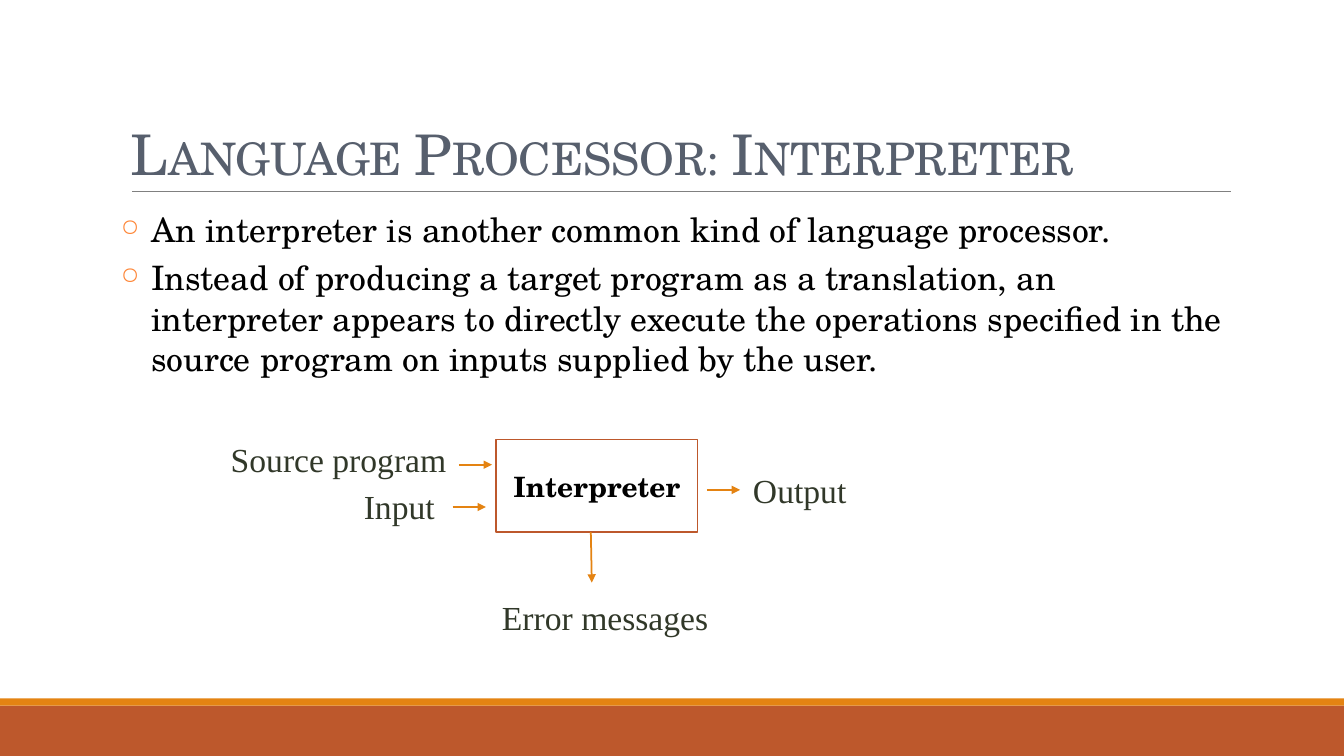
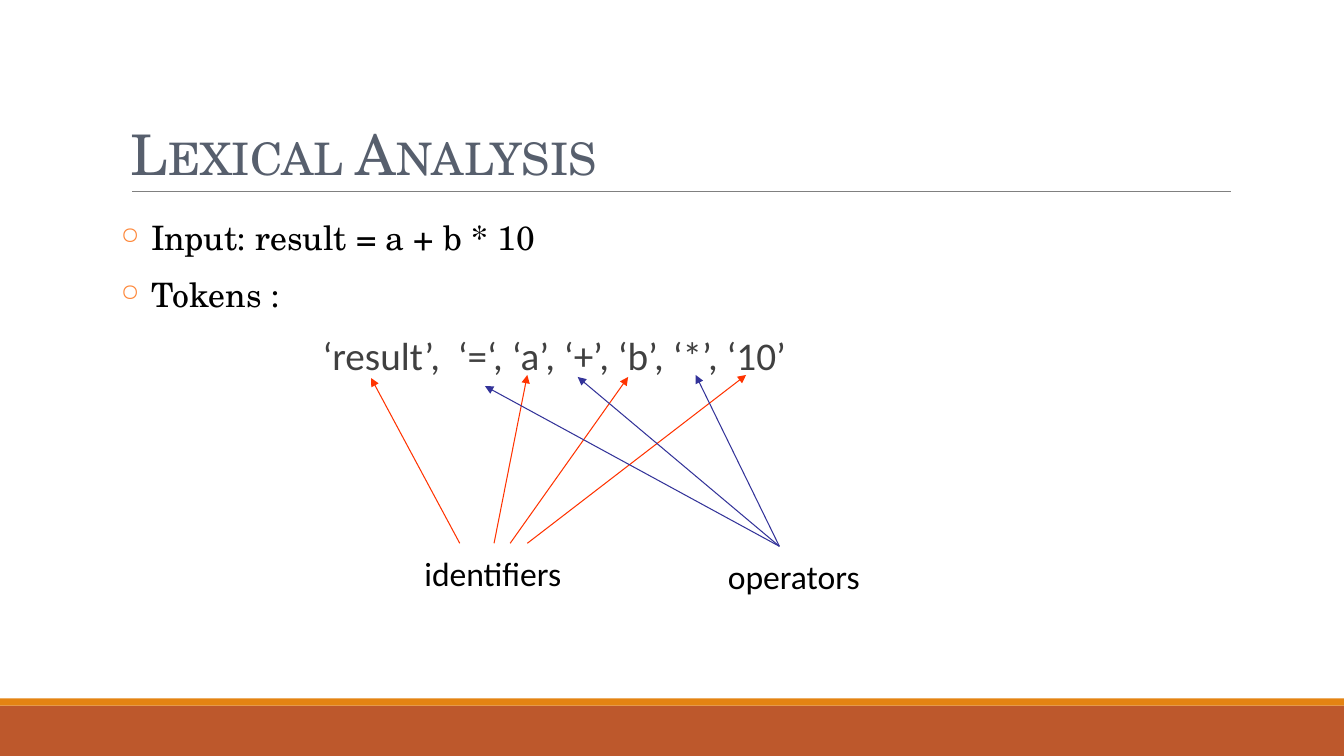
import pptx
import pptx.util
import pptx.dml.color
import pptx.enum.shapes
import pptx.enum.text
import pptx.oxml.ns
import lxml.etree

Inches = pptx.util.Inches
Pt = pptx.util.Pt
ANCHOR = pptx.enum.text.MSO_ANCHOR
ALIGN = pptx.enum.text.PP_ALIGN

COLORS = {
    "band": "BD582C",
    "accent": "E48312",
    "rule": "808080",
    "title": "575F6D",
    "bullet": "FE8637",
    "body": "000000",
    "tokens": "404040",
    "label": "313829",
    "box": "FFFFFF",
    "identifiers": "FF3300",
    "operators": "333399",
}
SERIF = "TeX Gyre Schola"
SANS = "Calibri"
LABEL_FONT = "Times New Roman"
WIDTH, HEIGHT = 13.33, 7.5


def rgb(name):
    return pptx.dml.color.RGBColor.from_string(COLORS[name])


def add_xml(parent, tag, **attributes):
    return lxml.etree.SubElement(parent, pptx.oxml.ns.qn(tag), attributes)


def style(paragraph, size, font, color, bold=False):
    paragraph.font.size = Pt(size)
    paragraph.font.name = font
    paragraph.font.bold = bold
    paragraph.font.color.rgb = rgb(color)


def add_rect(slide, box, fill, line=None):
    rect = slide.shapes.add_shape(
        pptx.enum.shapes.MSO_SHAPE.RECTANGLE, *map(Inches, box))
    rect.shadow.inherit = False
    rect.fill.solid()
    rect.fill.fore_color.rgb = rgb(fill)
    if line:
        rect.line.color.rgb = rgb(line)
        rect.line.width = Pt(1)
    else:
        rect.line.fill.background()
    return rect


def add_line(slide, start, end, color, width, arrow=False):
    line = slide.shapes.add_connector(
        pptx.enum.shapes.MSO_CONNECTOR.STRAIGHT, *map(Inches, start + end))
    line.line.color.rgb = rgb(color)
    line.line.width = Pt(width)
    if arrow:
        add_xml(line.line._get_or_add_ln(), "a:tailEnd", type="triangle")
    add_xml(line._element.spPr, "a:effectLst")


def add_text_frame(slide, box, wrap=True):
    frame = slide.shapes.add_textbox(*map(Inches, box)).text_frame
    frame.word_wrap = wrap
    return frame


def add_bullet(paragraph, indent):
    properties = paragraph._p.get_or_add_pPr()
    properties.set("marL", str(Inches(indent)))
    properties.set("indent", str(-Inches(indent)))
    color = add_xml(properties, "a:buClr")
    add_xml(color, "a:srgbClr", val=COLORS["bullet"])
    add_xml(properties, "a:buSzPct", val="70000")
    add_xml(properties, "a:buChar", char="○")


def add_base(deck, title):
    slide = deck.slides.add_slide(deck.slide_layouts[6])
    add_rect(slide, (0, 7, WIDTH, 0.5), "band")
    add_rect(slide, (0, 6.93, WIDTH, 0.07), "accent")
    add_line(slide, (1.31, 1.9), (12.21, 1.9), "rule", 0.5)
    frame = add_text_frame(slide, (1.2, 0.31, 11, 1.59))
    frame.vertical_anchor = ANCHOR.BOTTOM
    heading = frame.paragraphs[0]
    heading.text = title
    heading.line_spacing = 0.85
    style(heading, 40, SERIF, "title")
    heading.runs[0]._r.get_or_add_rPr().set("cap", "small")
    return slide


def add_body(slide, box, points, spacing=1.0, tokens=None):
    frame = add_text_frame(slide, box)
    frame.margin_left = frame.margin_right = 0
    lines = points + ([tokens] if tokens else [])
    for index, text in enumerate(lines):
        paragraph = frame.paragraphs[0] if index == 0 else frame.add_paragraph()
        paragraph.text = text
        paragraph.line_spacing = spacing
        if index:
            paragraph.space_before = Pt(6)
        if index < len(points):
            add_bullet(paragraph, 0.3)
            style(paragraph, 24, SERIF, "body")
        else:
            paragraph._p.get_or_add_pPr().set("marL", str(Inches(2)))
            style(paragraph, 28, SANS, "tokens")


def add_interpreter_diagram(slide, left, top):
    interpreter = add_rect(slide, (left, top, 2, 0.92), "box", "band")
    frame = interpreter.text_frame
    frame.word_wrap = False
    frame.vertical_anchor = ANCHOR.MIDDLE
    name = frame.paragraphs[0]
    name.text = "Interpreter"
    name.alignment = ALIGN.CENTER
    style(name, 20, SERIF, "body", bold=True)

    labels = [
        ("Source program", -2.73, -0.05, 2.35),
        ("Input", -1.41, 0.41, 0.91),
        ("Output", 2.45, 0.25, 1.14),
        ("Error messages", -0.04, 1.51, 2.25),
    ]
    for text, x, y, width in labels:
        label = add_text_frame(
            slide, (left + x, top + y, width, 0.5), wrap=False).paragraphs[0]
        label.text = text
        style(label, 24, LABEL_FONT, "label")

    arrows = [
        (-0.37, 0.25, 0.33, 0),
        (-0.43, 0.67, 0.33, 0),
        (2.09, 0.5, 0.33, 0),
        (0.94, 0.92, 0.01, 0.5),
    ]
    for x, y, run, drop in arrows:
        start = (left + x, top + y)
        add_line(slide, start, (start[0] + run, start[1] + drop),
                 "accent", 1.25, arrow=True)


def add_token_class(slide, name, left, top, arrows):
    for start_x, start_y, end_x, end_y in arrows:
        add_line(slide, (left + start_x, top + start_y),
                 (left + end_x, top + end_y), name, 0.75, arrow=True)
    label = add_text_frame(slide, (left, top, 2.01, 0.43)).paragraphs[0]
    label.text = name
    label.line_spacing = 0.8
    label._p.get_or_add_pPr().set("marL", str(Inches(0.4)))
    style(label, 24, SANS, "body")


def build_interpreter(deck):
    slide = add_base(deck, "Language Processor: Interpreter")
    add_body(slide, (1.2, 2.02, 11, 4.4), [
        "An interpreter is another common kind of language processor.",
        "Instead of producing a target program as a translation, an "
        "interpreter appears to directly execute the operations specified "
        "in the source program on inputs supplied by the user.",
    ])
    add_interpreter_diagram(slide, 4.92, 4.36)


def build_lexical_analysis(deck):
    slide = add_base(deck, "Lexical Analysis")
    add_body(slide, (1.2, 2.02, 11, 4.72),
             ["Input: result = a + b * 10", "Tokens :"], spacing=1.2,
             tokens="‘result’,  ‘=‘, ‘a’, ‘+’, ‘b’, ‘*’, ‘10’")
    add_token_class(slide, "identifiers", 3.71, 5.51, [
        (0.85, -0.12, -0.03, -1.76),
        (1.19, -0.12, 1.52, -1.79),
        (1.35, -0.12, 2.52, -1.77),
        (1.52, -0.12, 3.69, -1.79),
    ])
    add_token_class(slide, "operators", 6.72, 5.54, [
        (1.01, -0.12, -1.91, -1.71),
        (1.01, -0.12, -0.99, -1.8),
        (1.01, -0.12, 0.18, -1.82),
    ])


def main():
    deck = pptx.Presentation()
    deck.slide_width = Inches(WIDTH)
    deck.slide_height = Inches(HEIGHT)
    build_interpreter(deck)
    build_lexical_analysis(deck)
    deck.save("out.pptx")


if __name__ == "__main__":
    main()
